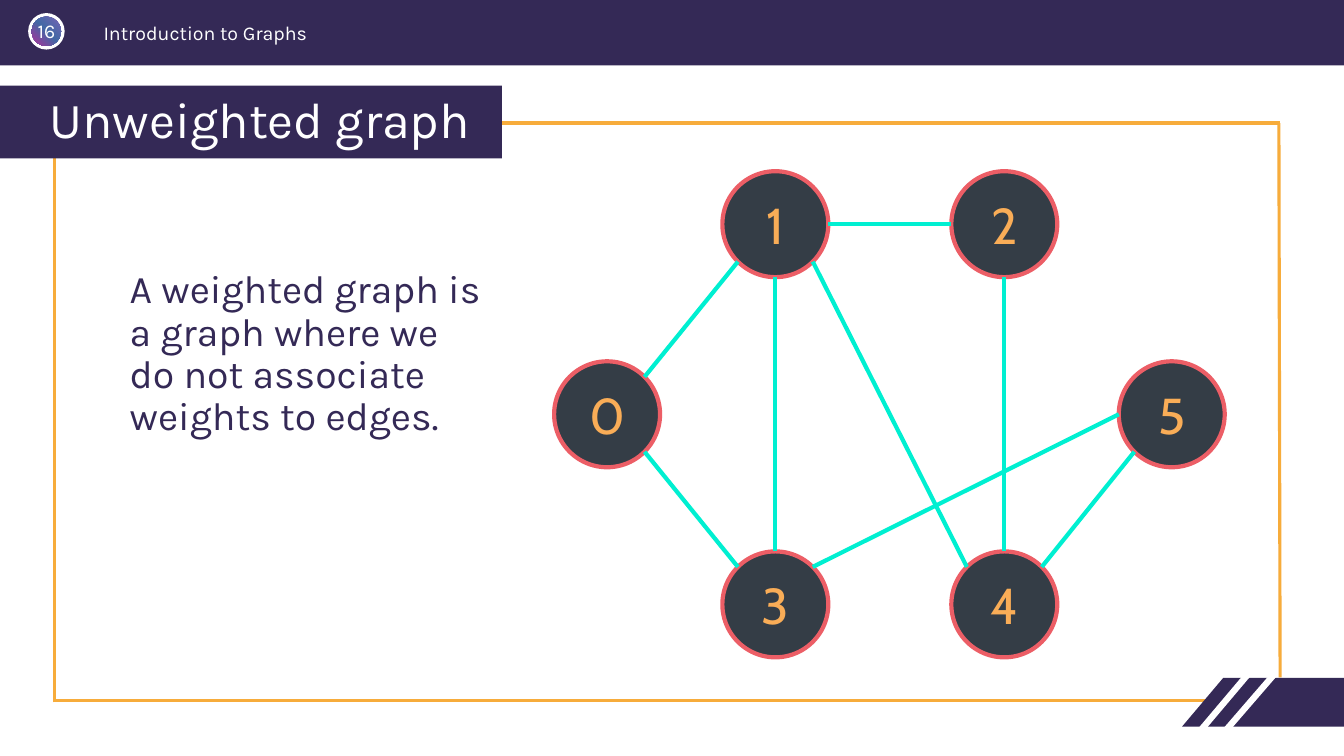
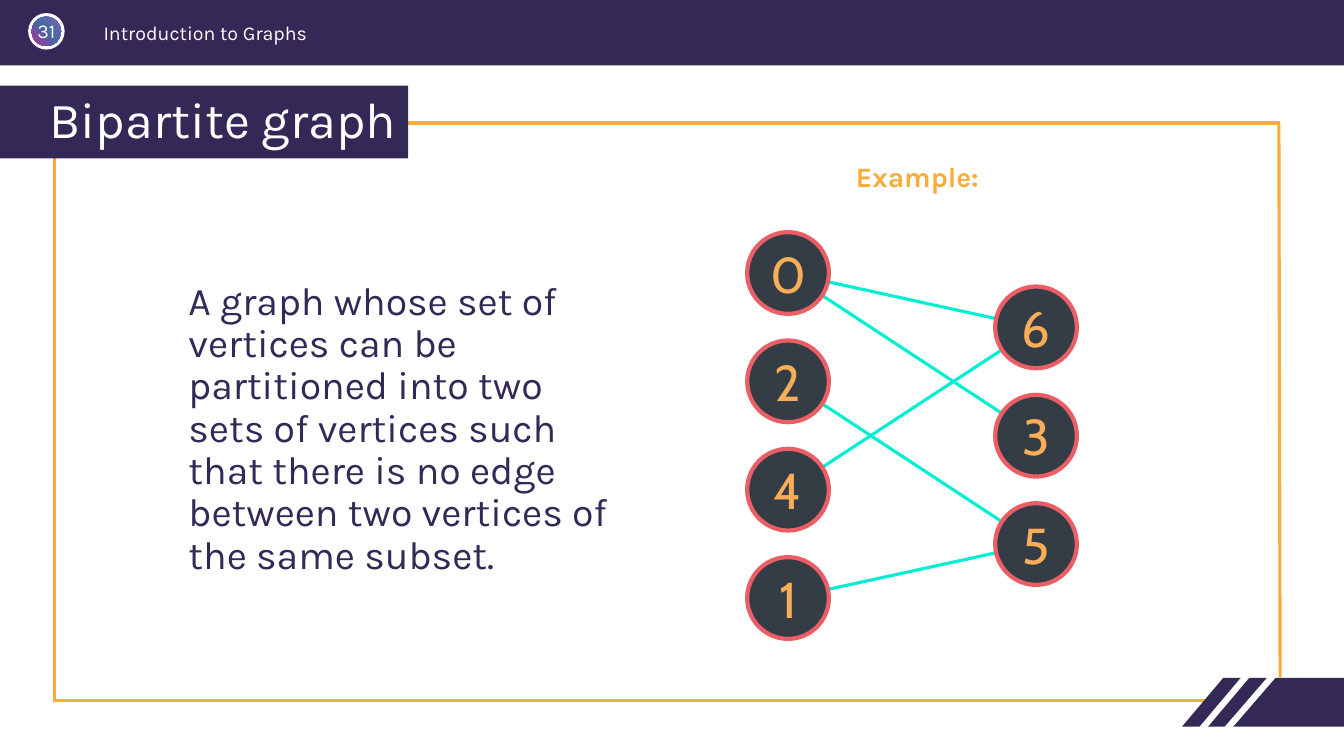
from copy import deepcopy
from dataclasses import dataclass
from enum import Enum
from math import cos, radians, sin

from lxml.etree import SubElement
from pptx import Presentation
from pptx.dml.color import RGBColor
from pptx.enum.shapes import MSO_CONNECTOR as Connector
from pptx.enum.shapes import MSO_SHAPE as Preset
from pptx.enum.text import MSO_ANCHOR as Anchor
from pptx.enum.text import PP_ALIGN as Align
from pptx.oxml.ns import qn
from pptx.shapes.autoshape import Shape
from pptx.slide import Slide
from pptx.text.text import TextFrame
from pptx.util import Cm, Pt

PAGE_WIDTH, PAGE_HEIGHT = 33.87, 19.05
NAVY, WHITE, ORANGE = "342956", "FFFFFF", "F7AC3B"
NODE_FILL, NODE_RIM, NODE_TEXT, EDGE = "343D46", "EC5E66", "F9AD57", "00EFD1"
BADGE_STOPS = ((0, "7864B5"), (0.49, "4269A5"), (1, "B2329A"))
TEXT_FONT, NODE_FONT = "Karla", "Cabin"

Point = tuple[float, float]


class Site(Enum):
    RIGHT = 0
    LOWER_RIGHT = 45
    BOTTOM = 90
    LOWER_LEFT = 135
    LEFT = 180
    UPPER_LEFT = 225
    TOP = 270
    UPPER_RIGHT = 315
    CENTRE = None


@dataclass(frozen=True)
class Line:
    start: Point
    end: Point
    color: str
    weight: float


@dataclass(frozen=True)
class Edge:
    start: str
    end: str
    start_site: Site = Site.CENTRE
    end_site: Site = Site.CENTRE


@dataclass(frozen=True)
class Graph:
    centres: dict[str, Point]
    edges: tuple[Edge, ...]
    diameter: float
    edge_weight: float
    edges_on_top: bool


@dataclass(frozen=True)
class Style:
    size: float
    color: str
    font: str = TEXT_FONT
    bold: bool = False
    align: Align = Align.LEFT
    line_spacing: float = 1.0
    space_before: float = 0


@dataclass(frozen=True)
class TextBox:
    text: str
    left: float
    top: float
    width: float
    height: float
    style: Style


@dataclass(frozen=True)
class Page:
    number: str
    title: str
    title_width: float
    boxes: tuple[TextBox, ...]
    graph: Graph


HEADER = Style(14, WHITE)
NUMBER = Style(14, WHITE, align=Align.CENTER)
TITLE = Style(36, WHITE, line_spacing=0.9)
BODY = Style(28, NAVY, line_spacing=0.9, space_before=10)
CAPTION = Style(20, ORANGE, bold=True, align=Align.CENTER, line_spacing=0.9, space_before=10)
NODE = Style(36, NODE_TEXT, NODE_FONT, align=Align.CENTER)

FRAME = (
    Line((32.26, 17.07), (32.23, 3.1), ORANGE, 2.25),
    Line((1.37, 17.7), (1.37, 3.89), ORANGE, 2.25),
    Line((1.35, 17.65), (30.73, 17.65), ORANGE, 2.25),
    Line((1.37, 3.1), (32.26, 3.1), ORANGE, 2.25),
)
CORNER = ((30.83, 17.08), (PAGE_WIDTH, 17.08), (PAGE_WIDTH, 18.31), (29.79, 18.31))
STRIPES = (
    Line((30.1, 18.59), (31.62, 16.79), WHITE, 4.5),
    Line((30.73, 18.59), (32.13, 16.97), WHITE, 4.5),
)


def rgb(color: str) -> RGBColor:
    return RGBColor.from_string(color)


def paint(shape: Shape, color: str, rim: str | None = None, weight: float = 0) -> None:
    shape.shadow.inherit = False
    shape.fill.solid()
    shape.fill.fore_color.rgb = rgb(color)
    if rim:
        shape.line.color.rgb = rgb(rim)
        shape.line.width = Pt(weight)
    else:
        shape.line.fill.background()


def add_preset(slide: Slide, preset: Preset, left: float, top: float,
               width: float, height: float) -> Shape:
    return slide.shapes.add_shape(preset, Cm(left), Cm(top), Cm(width), Cm(height))


def set_margins(frame: TextFrame, size: float) -> None:
    frame.margin_left = frame.margin_right = Cm(size)
    frame.margin_top = frame.margin_bottom = Cm(size)


def write(frame: TextFrame, text: str, style: Style) -> None:
    para = frame.paragraphs[0]
    para.alignment = style.align
    para.line_spacing = style.line_spacing
    para.space_before = Pt(style.space_before)
    span = para.add_run()
    span.text = text
    span.font.name = style.font
    span.font.size = Pt(style.size)
    span.font.bold = style.bold
    span.font.color.rgb = rgb(style.color)


def add_text(slide: Slide, item: TextBox) -> TextFrame:
    box = slide.shapes.add_textbox(Cm(item.left), Cm(item.top), Cm(item.width), Cm(item.height))
    frame = box.text_frame
    frame.word_wrap = True
    write(frame, item.text, item.style)
    return frame


def add_line(slide: Slide, line: Line) -> None:
    ends = [Cm(value) for value in (*line.start, *line.end)]
    connector = slide.shapes.add_connector(Connector.STRAIGHT, *ends)
    connector.line.color.rgb = rgb(line.color)
    connector.line.width = Pt(line.weight)
    SubElement(connector._element.spPr, qn("a:effectLst"))


def add_badge(slide: Slide, number: str) -> None:
    paint(add_preset(slide, Preset.OVAL, 0.71, 0.33, 0.92, 0.92), WHITE)
    disc = add_preset(slide, Preset.OVAL, 0.8, 0.42, 0.74, 0.74)
    paint(disc, NAVY)
    disc.fill.gradient()
    disc.fill.gradient_angle = 225
    stop_list = disc._element.spPr.find(".//" + qn("a:gsLst"))
    stop_list.append(deepcopy(stop_list[0]))
    for stop, (position, color) in zip(disc.fill.gradient_stops, BADGE_STOPS):
        stop.position = position
        stop.color.rgb = rgb(color)
    set_margins(add_text(slide, TextBox(number, 0.71, 0.48, 0.92, 0.61, NUMBER)), 0)


def add_corner(slide: Slide) -> None:
    first, *others = [(Cm(x), Cm(y)) for x, y in CORNER]
    builder = slide.shapes.build_freeform(*first)
    builder.add_line_segments(others, close=True)
    paint(builder.convert_to_shape(), NAVY)
    for stripe in STRIPES:
        add_line(slide, stripe)


def add_title(slide: Slide, text: str, width: float) -> None:
    bar = add_preset(slide, Preset.RECTANGLE, 0, 2.16, width, 1.83)
    paint(bar, NAVY)
    frame = bar.text_frame
    frame.vertical_anchor = Anchor.MIDDLE
    frame.margin_left = Cm(1.25)
    write(frame, text, TITLE)


def add_node(slide: Slide, label: str, centre: Point, diameter: float) -> None:
    left, top = (value - diameter / 2 for value in centre)
    node = add_preset(slide, Preset.OVAL, left, top, diameter, diameter)
    paint(node, NODE_FILL, NODE_RIM, 3)
    frame = node.text_frame
    set_margins(frame, 0)
    frame.vertical_anchor = Anchor.MIDDLE
    write(frame, label, NODE)


def site_point(centre: Point, diameter: float, site: Site) -> Point:
    if site is Site.CENTRE:
        return centre
    angle = radians(site.value)
    return centre[0] + diameter / 2 * cos(angle), centre[1] + diameter / 2 * sin(angle)


def add_edges(slide: Slide, graph: Graph) -> None:
    for edge in graph.edges:
        start = site_point(graph.centres[edge.start], graph.diameter, edge.start_site)
        end = site_point(graph.centres[edge.end], graph.diameter, edge.end_site)
        add_line(slide, Line(start, end, EDGE, graph.edge_weight))


def add_graph(slide: Slide, graph: Graph) -> None:
    if not graph.edges_on_top:
        add_edges(slide, graph)
    for label, centre in graph.centres.items():
        add_node(slide, label, centre, graph.diameter)
    if graph.edges_on_top:
        add_edges(slide, graph)


def add_page(deck: Presentation, page: Page) -> None:
    slide = deck.slides.add_slide(deck.slide_layouts[6])
    paint(add_preset(slide, Preset.RECTANGLE, 0, 0, PAGE_WIDTH, 1.65), NAVY)
    add_badge(slide, page.number)
    add_text(slide, TextBox("Introduction to Graphs", 2.36, 0.41, 14.25, 0.76, HEADER))
    for line in FRAME:
        add_line(slide, line)
    add_corner(slide)
    add_title(slide, page.title, page.title_width)
    for box in page.boxes:
        add_text(slide, box)
    add_graph(slide, page.graph)


def column(labels: str, x: float, top: float, step: float) -> dict[str, Point]:
    return {label: (x, top + index * step) for index, label in enumerate(labels)}


UNWEIGHTED = Graph(
    centres=(column("0", 15.3, 10.44, 0) | column("13", 19.54, 5.65, 9.58)
             | column("24", 25.31, 5.65, 9.58) | column("5", 29.53, 10.44, 0)),
    edges=(
        Edge("1", "0", Site.LOWER_LEFT, Site.UPPER_RIGHT),
        Edge("3", "1", Site.TOP, Site.BOTTOM),
        Edge("0", "3", Site.LOWER_RIGHT, Site.UPPER_LEFT),
        Edge("1", "2", Site.RIGHT, Site.LEFT),
        Edge("1", "4", Site.LOWER_RIGHT, Site.UPPER_LEFT),
        Edge("2", "4", Site.BOTTOM, Site.TOP),
        Edge("4", "5", Site.UPPER_RIGHT, Site.LOWER_LEFT),
        Edge("3", "5", Site.UPPER_RIGHT, Site.LEFT),
    ),
    diameter=2.67, edge_weight=3, edges_on_top=True,
)
BIPARTITE = Graph(
    centres=column("0241", 19.86, 6.88, 2.73) | column("635", 26.11, 8.25, 2.73),
    edges=tuple(Edge(start, end) for start, end in ("52", "51", "64", "30", "60")),
    diameter=2.06, edge_weight=2.25, edges_on_top=False,
)
PAGES = (
    Page("16", "Unweighted graph", 12.65, (
        TextBox("A weighted graph is a graph where we do not associate weights to edges.",
                3.02, 6.68, 9.63, 4.57, BODY),
    ), UNWEIGHTED),
    Page("31", "Bipartite graph", 10.29, (
        TextBox("A graph whose set of vertices can be partitioned into two sets of vertices "
                "such that there is no edge between two vertices of the same subset.",
                4.5, 6.96, 11.15, 6.76, BODY),
        TextBox("Example:", 18.19, 3.99, 9.86, 1.22, CAPTION),
    ), BIPARTITE),
)


def main() -> None:
    deck = Presentation()
    deck.slide_width, deck.slide_height = Cm(PAGE_WIDTH), Cm(PAGE_HEIGHT)
    for page in PAGES:
        add_page(deck, page)
    deck.save("out.pptx")


if __name__ == "__main__":
    main()
